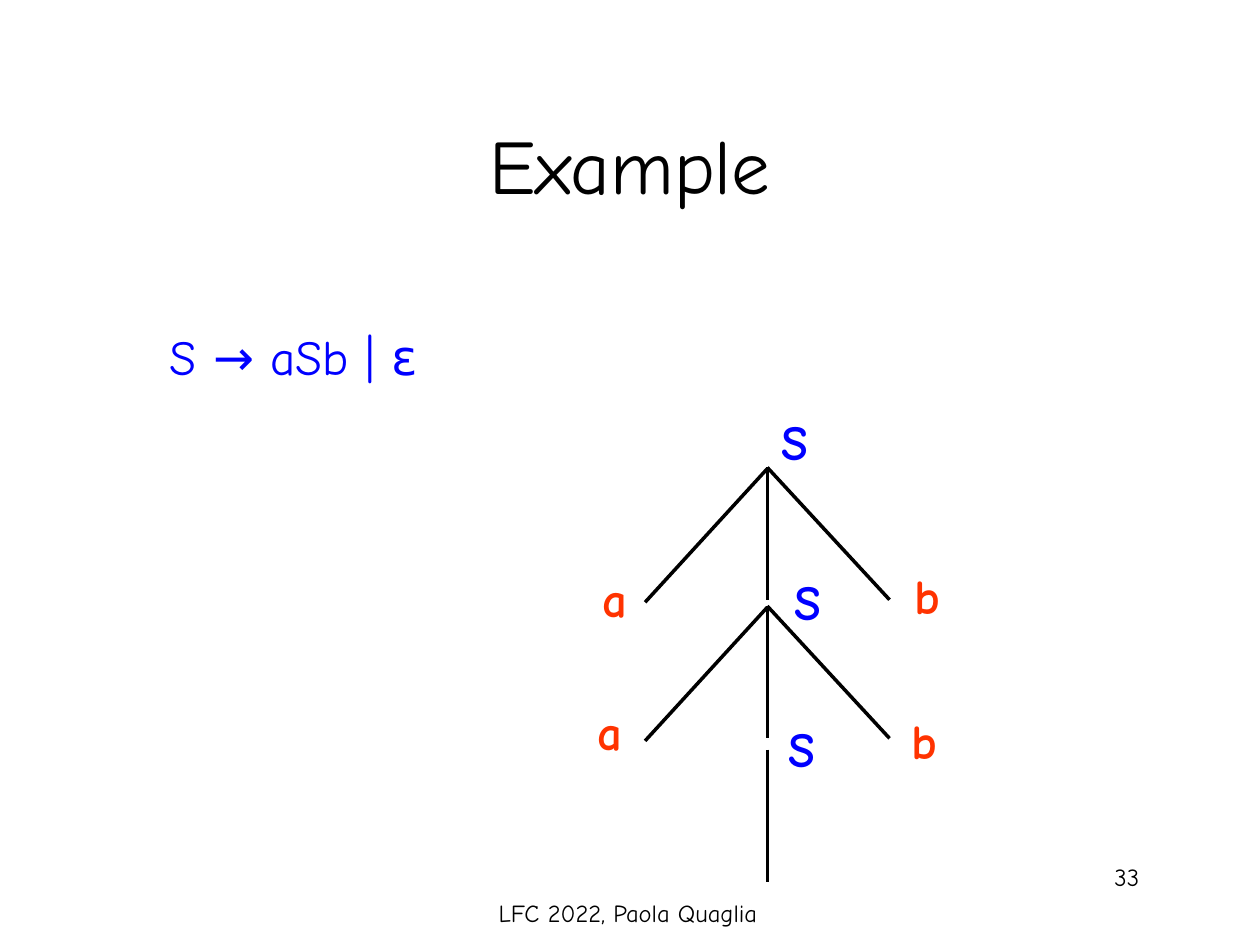
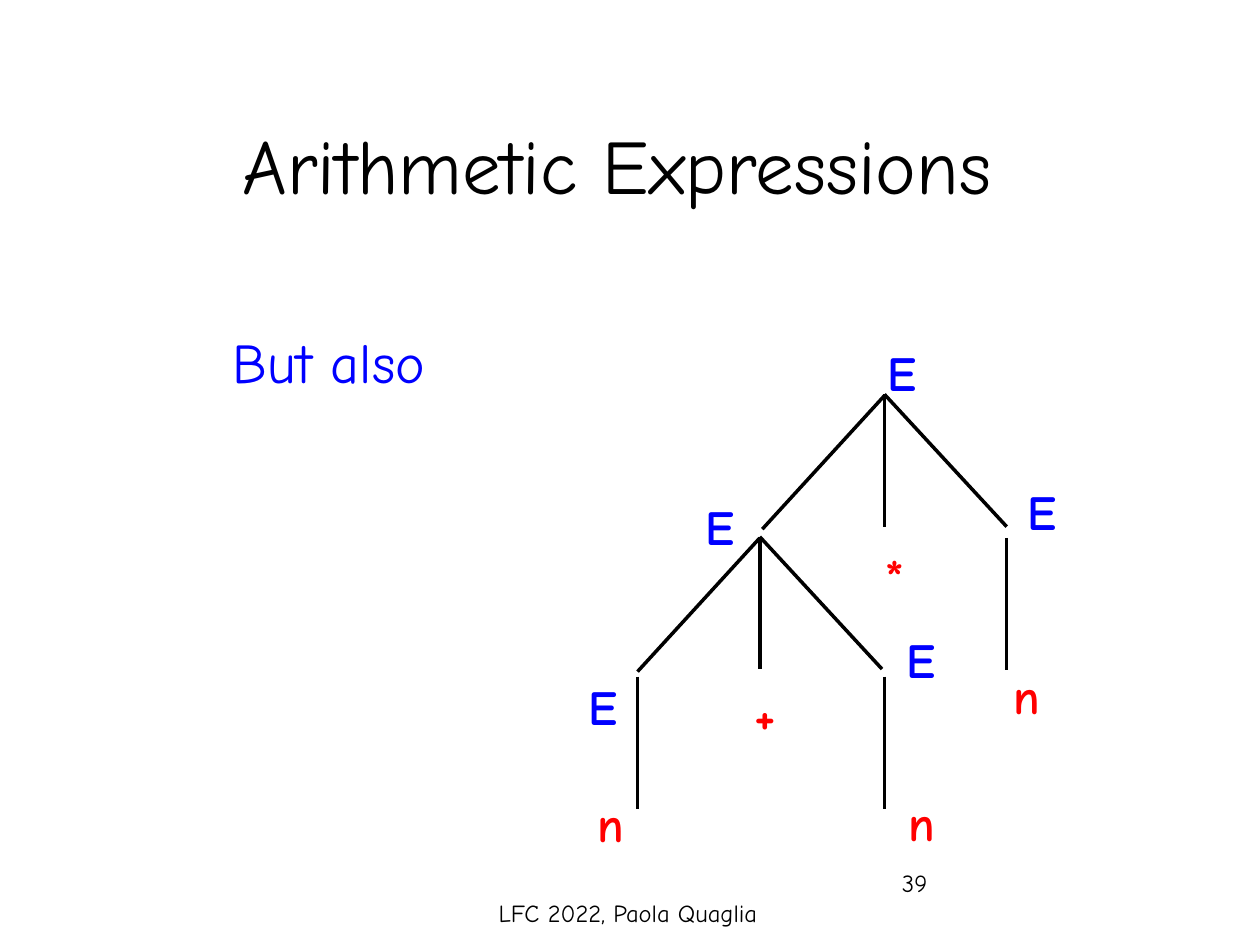
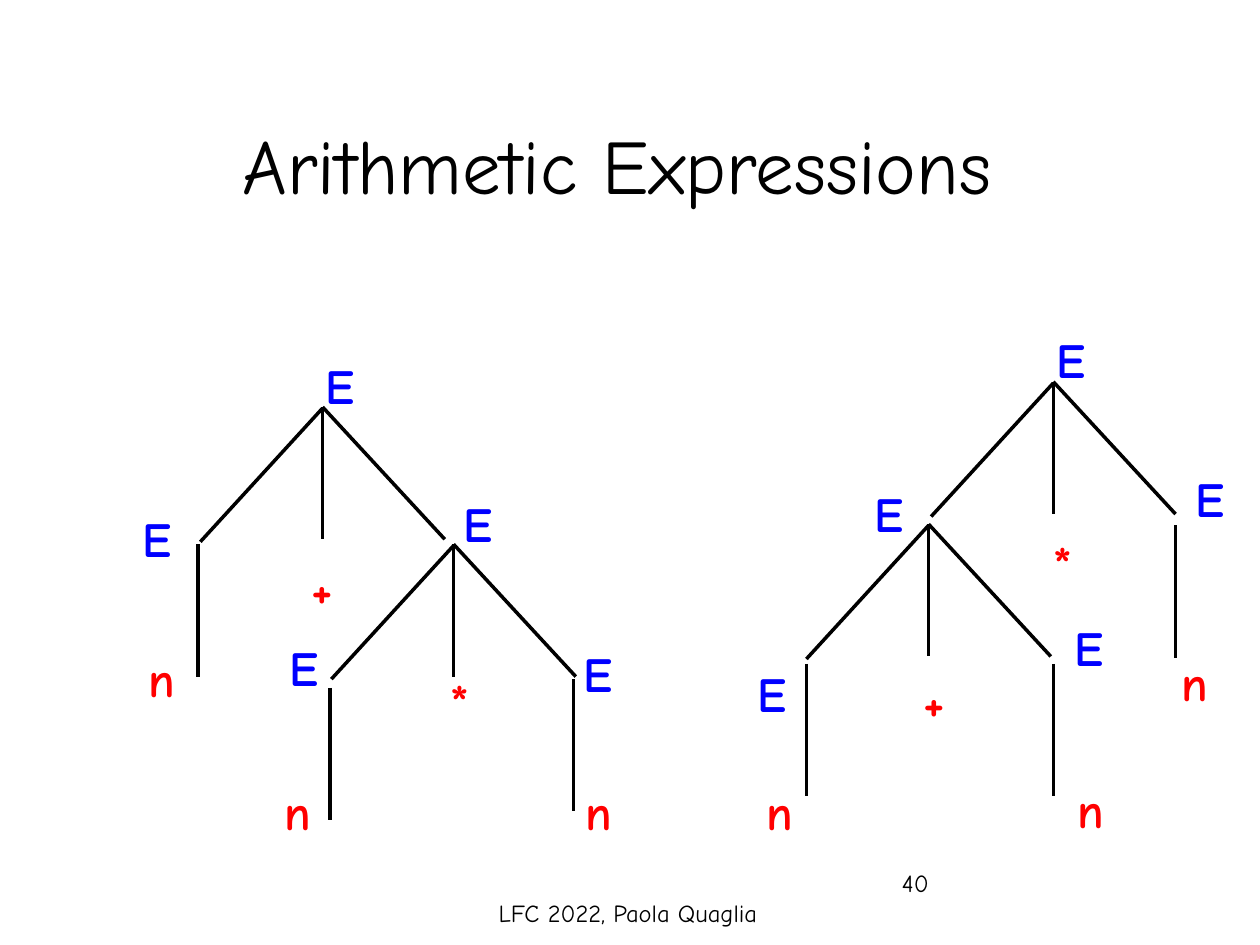
from lxml import etree
from pptx import Presentation
from pptx.dml.color import RGBColor
from pptx.enum import shapes, text
from pptx.oxml.ns import qn
from pptx.util import Inches, Pt

HUES = {"ink": "000000", "blue": "0000FF", "orange": "FF3300", "red": "FF0000"}
FONT = "Comic Neue"
LEFT, MID, RIGHT = text.PP_ALIGN.LEFT, text.PP_ALIGN.CENTER, text.PP_ALIGN.RIGHT
DROP, SPAN = 1.05, 0.97

# A tree has fans and stalks, each hung from a top point, and labels by box corner.
WORD = {
    "fans": [(6.09, 3.71), (6.09, 4.81)],
    "stalks": [(6.09, 5.95)],
    "labels": [("S", 5.91, 3.22), ("a", 4.48, 4.46), ("a", 4.44, 5.52),
               ("b", 6.96, 4.44), ("S", 6.02, 4.49), ("S", 5.97, 5.65),
               ("b", 6.94, 5.59)],
}
TIMES = {
    "fans": [(7.02, 3.13), (6.03, 4.26)],
    "stalks": [(7.02, 5.37), (7.99, 4.27), (5.06, 5.37)],
    "labels": [("+", 5.66, 5.38), ("E", 4.4, 5.32), ("E", 6.92, 4.95),
               ("E", 7.88, 3.77), ("E", 5.33, 3.89), ("E", 6.77, 2.67),
               ("*", 6.67, 4.28), ("n", 7.75, 5.23), ("n", 4.45, 6.25),
               ("n", 6.92, 6.24)],
}
PLUS = {
    "fans": [(2.56, 3.23), (3.6, 4.32)],
    "stalks": [(2.62, 5.46), (4.55, 5.39), (1.57, 4.32)],
    "labels": [("+", 2.14, 4.38), ("E", 4.36, 5.06), ("E", 2.03, 5.01),
               ("E", 3.41, 3.87), ("E", 0.86, 3.99), ("E", 2.31, 2.77),
               ("*", 3.22, 5.27), ("n", 4.36, 6.15), ("n", 0.89, 5.1),
               ("n", 1.97, 6.15)],
}

# Title, lead (words, left, top, size), number (words, top, side), leaf hue,
# and trees with their shifts
SLIDES = [
    ("Example", ("S → aSb | ε", 1.25, 2.54, 28), ("33", 6.79, RIGHT),
     "orange", [(WORD, 0, 0)]),
    ("Arithmetic Expressions ", ("But also", 1.75, 2.55, 32), ("39", 6.84, LEFT),
     "red", [(TIMES, 0, 0)]),
    ("Arithmetic Expressions ", None, ("40", 6.84, LEFT),
     "red", [(PLUS, 0, 0), (TIMES, 1.34, -0.1)]),
]


def write(slide, words, box, size, hue="ink", align=LEFT, bold=False):
    frame = slide.shapes.add_textbox(*map(Inches, box)).text_frame
    frame.word_wrap = True
    para = frame.paragraphs[0]
    para.text = words
    para.alignment = align
    font = para.font
    font.name, font.size, font.bold = FONT, Pt(size), bold
    font.color.rgb = RGBColor.from_string(HUES[hue])
    return frame


def branch(slide, x, y, end, low):
    line = slide.shapes.add_connector(
        shapes.MSO_CONNECTOR.STRAIGHT, *map(Inches, (x, y, end, low)))
    line.line.width = Pt(2)
    line.line.color.rgb = RGBColor.from_string(HUES["ink"])
    etree.SubElement(line._element.spPr, qn("a:effectLst"))


deck = Presentation()
deck.slide_width, deck.slide_height = Inches(10), Inches(7.5)

for title, lead, (num, top, side), leaf, trees in SLIDES:
    slide = deck.slides.add_slide(deck.slide_layouts[6])
    head = write(slide, title, (0.75, 0.67, 8.5, 1.25), 44, align=MID)
    head.vertical_anchor = text.MSO_ANCHOR.MIDDLE
    if lead:
        words, x, y, size = lead
        write(slide, words, (x, y, 3.5, 0.6), size, "blue")

    for tree, dx, dy in trees:
        for x, y in tree["fans"]:
            x, y = x + dx, y + dy
            branch(slide, x, y + 0.01, x - SPAN, y + DROP + 0.02)
            branch(slide, x, y, x, y + DROP)
            branch(slide, x, y, x + SPAN, y + DROP)
        for x, y in tree["stalks"]:
            branch(slide, x + dx, y + dy, x + dx, y + dy + DROP)
        for sign, x, y in tree["labels"]:
            hue = "blue" if sign.isupper() else leaf
            write(slide, sign, (x + dx, y + dy, 0.6, 0.57), 28, hue, RIGHT, True)

    write(slide, "LFC 2022, Paola Quaglia", (3.4, 7.08, 3.17, 0.32), 14, align=MID)
    write(slide, num, (7.06, top, 2.08, 0.5), 14, align=side)

deck.save("out.pptx")
